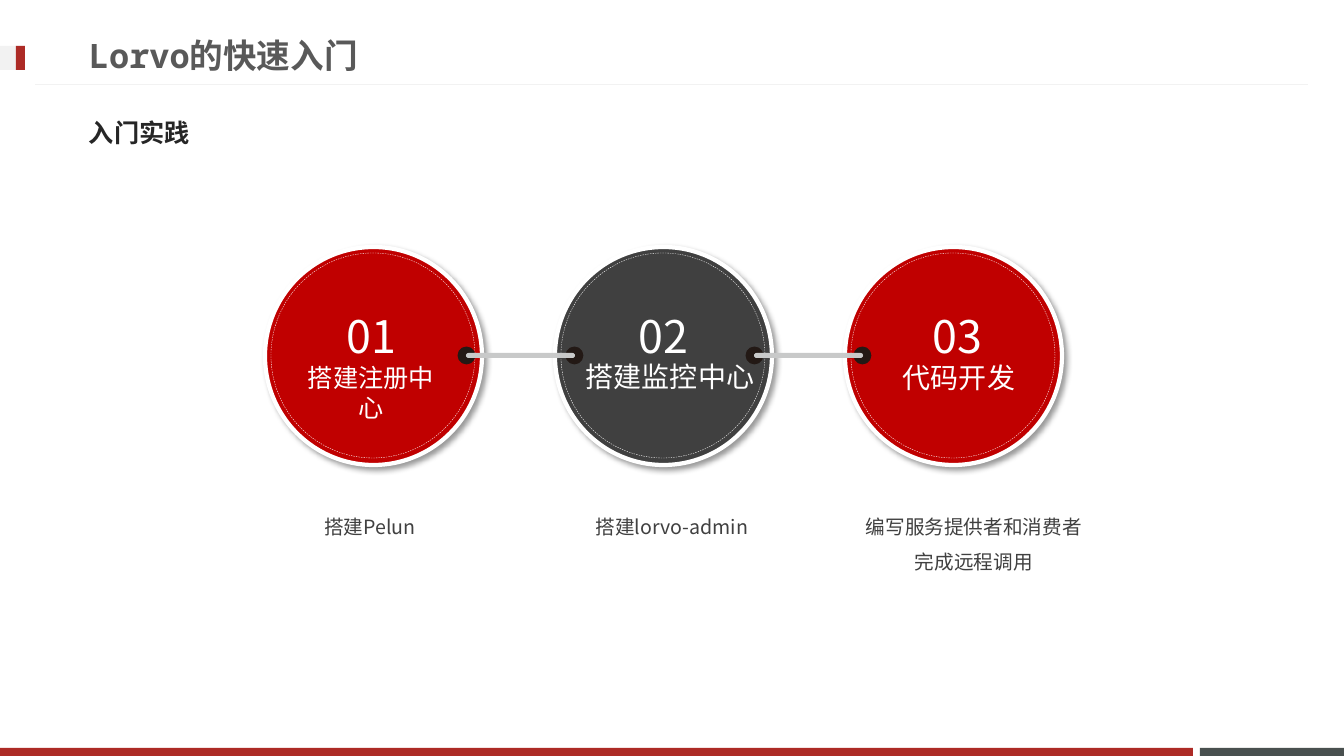
from lxml import etree
from pptx import Presentation
from pptx.dml.color import RGBColor as Rgb
from pptx.enum.dml import MSO_LINE as Dash
from pptx.enum.shapes import MSO_CONNECTOR as Link, MSO_SHAPE as Kind
from pptx.enum.text import MSO_ANCHOR as Anchor, PP_ALIGN as Align
from pptx.oxml import parse_xml
from pptx.oxml.ns import qn
from pptx.util import Pt

PX = 914400 / 100.8
SANS = "Noto Sans CJK JP"
MONO = "Noto Sans Mono"
HUE = {
    "brand": "AD2B26", "slate": "49504F", "pale": "F2F2F2",
    "red": "C00000", "dark": "404040", "white": "FFFFFF",
    "ring": "FEFEFE", "dot": "231915", "bar": "C8C9C9",
    "title": "595959", "head": "262626",
}
SHADE = (
    '<a:effectLst xmlns:a="http://schemas.openxmlformats.org/drawingml/2006/main">'
    '<a:outerShdw blurRad="50800" dist="38100" dir="2700000" algn="tl" rotWithShape="0">'
    '<a:srgbClr val="000000"><a:alpha val="40000"/></a:srgbClr>'
    '</a:outerShdw></a:effectLst>'
)

deck = Presentation()
deck.slide_width, deck.slide_height = round(1344 * PX), round(756 * PX)
page = deck.slides.add_slide(deck.slide_layouts[6])


def draw(kind, box, fill=None, line=None, width=0):
    item = page.shapes.add_shape(kind, *[round(n * PX) for n in box])
    item.shadow.inherit = False
    if fill:
        item.fill.solid()
        item.fill.fore_color.rgb = Rgb.from_string(HUE[fill])
    else:
        item.fill.background()
    if line:
        item.line.color.rgb = Rgb.from_string(HUE[line])
        item.line.width = Pt(width)
    else:
        item.line.fill.background()
    return item


def write(text, box, size, hue, font=SANS, bold=False, align=Align.LEFT,
          wrap=True, anchor=Anchor.TOP, space=None):
    frame = page.shapes.add_textbox(*[round(n * PX) for n in box]).text_frame
    frame.text = text
    frame.word_wrap = wrap
    frame.vertical_anchor = anchor
    for para in frame.paragraphs:
        para.alignment = align
        para.line_spacing = space
        for run in para.runs:
            run.font.size = Pt(size)
            run.font.bold = bold
            run.font.name = font
            run.font.color.rgb = Rgb.from_string(HUE[hue])
            east = etree.SubElement(run.font._element, qn("a:ea"))
            east.set("typeface", SANS)


for box, hue in [
    ((1200, 748, 144, 8), "slate"),
    ((0, 748, 1193, 8), "brand"),
    ((0, 46, 25, 24), "pale"),
    ((16, 46, 9, 24), "brand"),
]:
    draw(Kind.RECTANGLE, box, hue)

rule = page.shapes.add_connector(
    Link.STRAIGHT, *[round(n * PX) for n in (1308, 85, 35, 85)])
rule.line.color.rgb = Rgb.from_string(HUE["pale"])
rule.line.width = Pt(0.75)
etree.SubElement(rule._element.spPr, qn("a:effectLst"))

write("Lorvo的快速入门", (79, 27, 967, 57), 24, "title", MONO, True,
      anchor=Anchor.MIDDLE)
write("入门实践", (79, 104, 1185, 57), 18, "head", bold=True,
      anchor=Anchor.MIDDLE)

for i, hue in enumerate(["red", "dark", "red"]):
    left = 265 + 290 * i
    disc = draw(Kind.OVAL, (left, 247, 217, 218), hue, "white", 3)
    props = disc._element.spPr
    props.replace(props.find(qn("a:effectLst")), parse_xml(SHADE))
    ring = draw(Kind.OVAL, (left + 6, 253, 204, 205), None, "ring", 0.25)
    ring.line.dash_style = Dash.DASH

for left in (458, 746):
    for dot in (left, left + 108):
        draw(Kind.OVAL, (dot, 347, 17, 17), "dot", "dot", 0.63)
    bar = draw(Kind.ROUNDED_RECTANGLE, (left + 8, 353, 109, 5), "bar")
    bar.adjustments[0] = 0.5

write("搭建注册中心", (287, 357, 168, 40), 18, "white", align=Align.CENTER)
write("搭建监控中心", (576, 355, 190, 44), 20, "white", wrap=False)
write("代码开发", (893, 356, 133, 44), 20, "white", wrap=False)

for num, left in [("01", 337), ("02", 629), ("03", 923)]:
    write(num, (left, 304, 73, 65), 32, "white", wrap=False)

notes = ["搭建Pelun", "搭建lorvo-admin", "编写服务提供者和消费者\n完成远程调用"]
for i, note in enumerate(notes):
    write(note, (230 + 302 * i, 498, 280, 42), 14, "dark",
          align=Align.CENTER, space=1.5)

deck.save("out.pptx")
